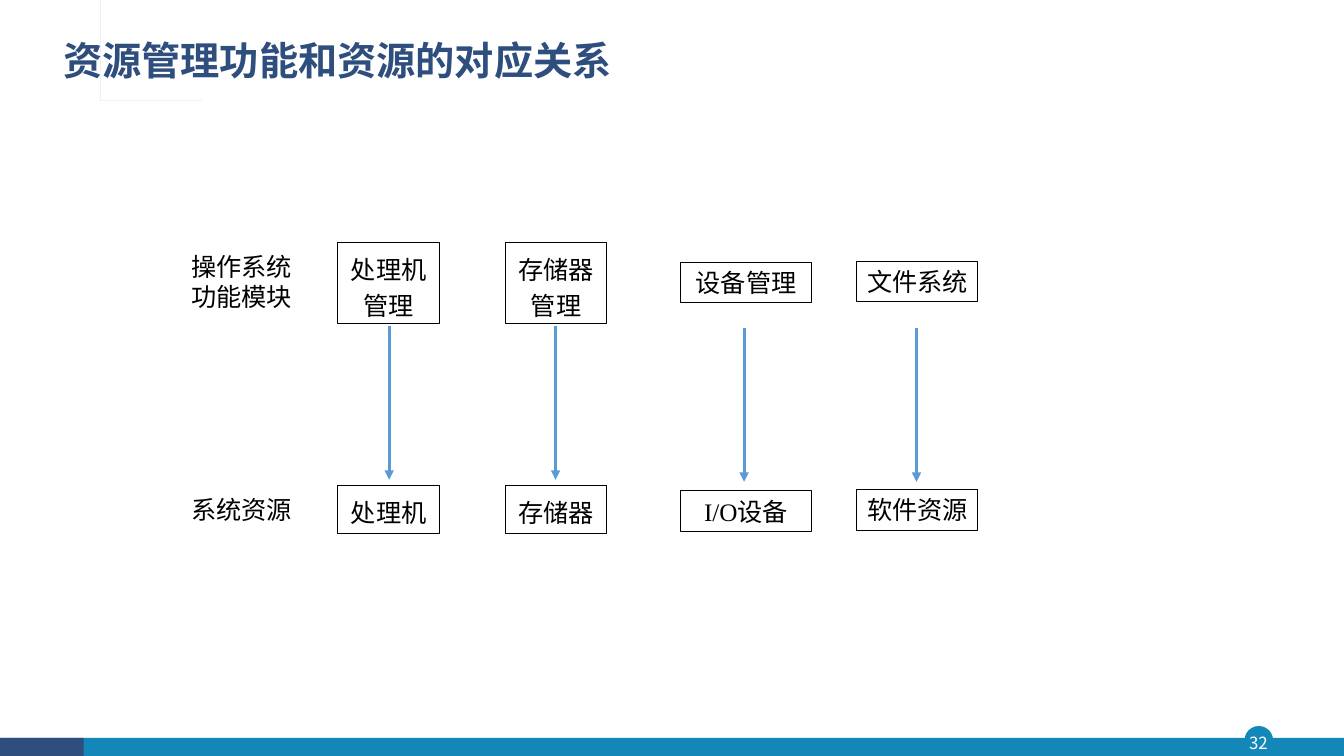
import pptx
import pptx.util
import pptx.dml.color
import pptx.enum.shapes
import pptx.enum.text
import pptx.oxml.ns
from lxml import etree

Inches, Pt = pptx.util.Inches, pptx.util.Pt
SHAPE = pptx.enum.shapes.MSO_SHAPE
ALIGN = pptx.enum.text.PP_ALIGN
ANCHOR = pptx.enum.text.MSO_ANCHOR

TITLE = "资源管理功能和资源的对应关系"
NUMBER = "32"
LABELS = [("操作系统功能模块", 2.44, 0.71), ("系统资源", 4.85, 0.4)]
# left, width, line spacing, arrow x, arrow top, then (text, top, height) per row
COLUMNS = [
    (3.35, 1.01, 1.2, 3.86, 3.23, [("处理机管理", 2.41, 0.8), ("处理机", 4.82, 0.47)]),
    (5.01, 1.01, 1.2, 5.51, 3.23, [("存储器管理", 2.41, 0.8), ("存储器", 4.82, 0.47)]),
    (6.75, 1.3, 1, 7.38, 3.25, [("设备管理", 2.6, 0.4), ("I/O设备", 4.87, 0.4)]),
    (8.5, 1.2, 1, 9.09, 3.25, [("文件系统", 2.59, 0.4), ("软件资源", 4.86, 0.4)]),
]
ARROW = 1.53
MARK = [(0.54, 0.39), (0.54, 0.85), (1.87, 0.85), (1.87, 0.87), (0.52, 0.87),
        (0.52, 0.41), (0.47, 0.41), (0.47, 0.87), (0.36, 0.87), (0.36, 0.39),
        (0.39, 0.39), (0.39, 0.84), (0.44, 0.84), (0.44, 0.39)]
THEME = {
    "navy": "2E4E7E", "teal": "1387B7", "sky": "28A9D6", "arrow": "5B9BD5",
    "ink": "000000", "white": "FFFFFF",
    "sans": "Noto Sans CJK SC", "serif": "Times New Roman",
    "head": 28, "body": 18, "small": 12,
}

deck = pptx.Presentation()
deck.slide_width, deck.slide_height = Inches(13.33), Inches(7.5)
slide = deck.slides.add_slide(deck.slide_layouts[6])
shapes = slide.shapes


def color(name):
    return pptx.dml.color.RGBColor.from_string(THEME[name])


def paint(shape, fill=None, line=None, width=1):
    shape.shadow.inherit = False
    if fill:
        shape.fill.solid()
        shape.fill.fore_color.rgb = color(fill)
    else:
        shape.fill.background()
    if line:
        shape.line.color.rgb = color(line)
        shape.line.width = Pt(width)
    else:
        shape.line.fill.background()


def add_shape(kind, box, **look):
    shape = shapes.add_shape(kind, *map(Inches, box))
    paint(shape, **look)
    return shape


def add_text(box):
    return shapes.add_textbox(*map(Inches, box))


def write(shape, text, size="body", font="serif", ink="ink", bold=False,
          align=ALIGN.LEFT, anchor=ANCHOR.TOP, space=1, side=0.1, edge=0.05):
    frame = shape.text_frame
    frame.word_wrap = True
    frame.vertical_anchor = anchor
    frame.margin_left = frame.margin_right = Inches(side)
    frame.margin_top = frame.margin_bottom = Inches(edge)
    frame.text = text
    para = frame.paragraphs[0]
    para.alignment = align
    para.line_spacing = space
    run = para.runs[0]
    run.font.size, run.font.name = Pt(THEME[size]), THEME[font]
    run.font.color.rgb, run.font.bold = color(ink), bold
    if font == "sans":
        east = etree.SubElement(run.font._element, pptx.oxml.ns.qn("a:ea"))
        east.set("typeface", THEME[font])


def add_arrow(x, top):
    line = shapes.add_connector(
        pptx.enum.shapes.MSO_CONNECTOR.STRAIGHT,
        *map(Inches, (x, top, x, top + ARROW)))
    line.line.color.rgb = color("arrow")
    line.line.width = Pt(2.25)
    tail = etree.SubElement(line.line._get_or_add_ln(), pptx.oxml.ns.qn("a:tailEnd"))
    tail.set("type", "triangle")
    etree.SubElement(line._element.spPr, pptx.oxml.ns.qn("a:effectLst"))


# Footer and title
add_shape(SHAPE.OVAL, (12.35, 7.21, 0.27, 0.27), fill="teal", line="teal")
add_shape(SHAPE.RECTANGLE, (0.01, 7.32, 13.32, 0.19), fill="teal")
add_shape(SHAPE.RECTANGLE, (0, 7.32, 0.83, 0.19), fill="navy")
write(add_text((12.32, 7.21, 0.32, 0.31)), NUMBER, "small", "sans", "white",
      align=ALIGN.CENTER, anchor=ANCHOR.MIDDLE, side=0, edge=0)

pen = shapes.build_freeform(*MARK[0], scale=Inches(1))
pen.add_line_segments(MARK[1:], close=True)
paint(pen.convert_to_shape(), fill="sky")
write(add_text((0.53, 0.34, 10.49, 0.56)), TITLE, "head", "sans", "navy",
      bold=True, anchor=ANCHOR.MIDDLE, space=0.9)

# Modules above, resources below
for text, top, height in LABELS:
    write(add_text((1.8, top, 1.27, height)), text)
for left, width, space, x, start, boxes in COLUMNS:
    for text, top, height in boxes:
        box = add_shape(SHAPE.RECTANGLE, (left, top, width, height),
                        line="ink", width=0.75)
        write(box, text, align=ALIGN.CENTER, space=space, side=0.05)
    add_arrow(x, start)

deck.save("out.pptx")
